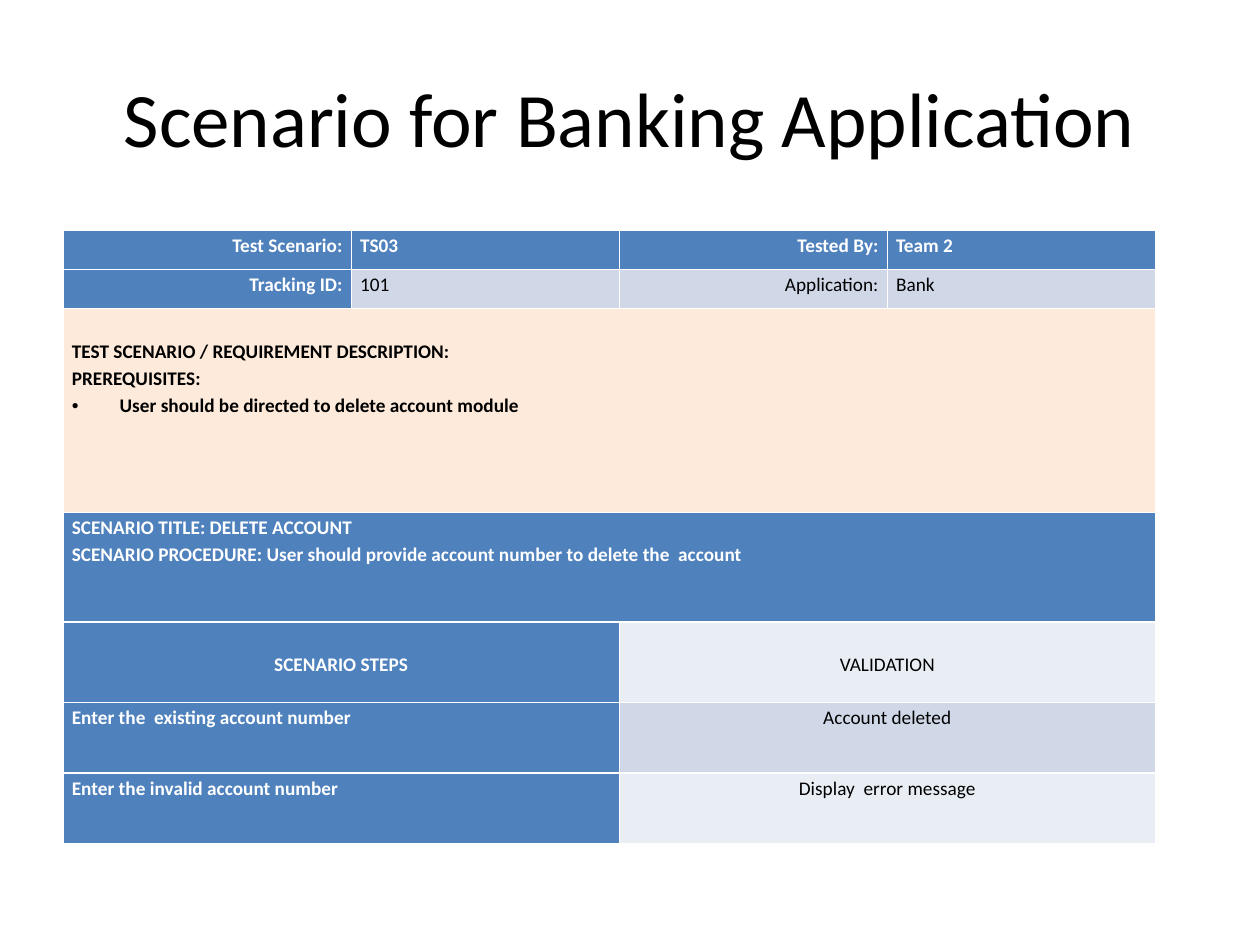
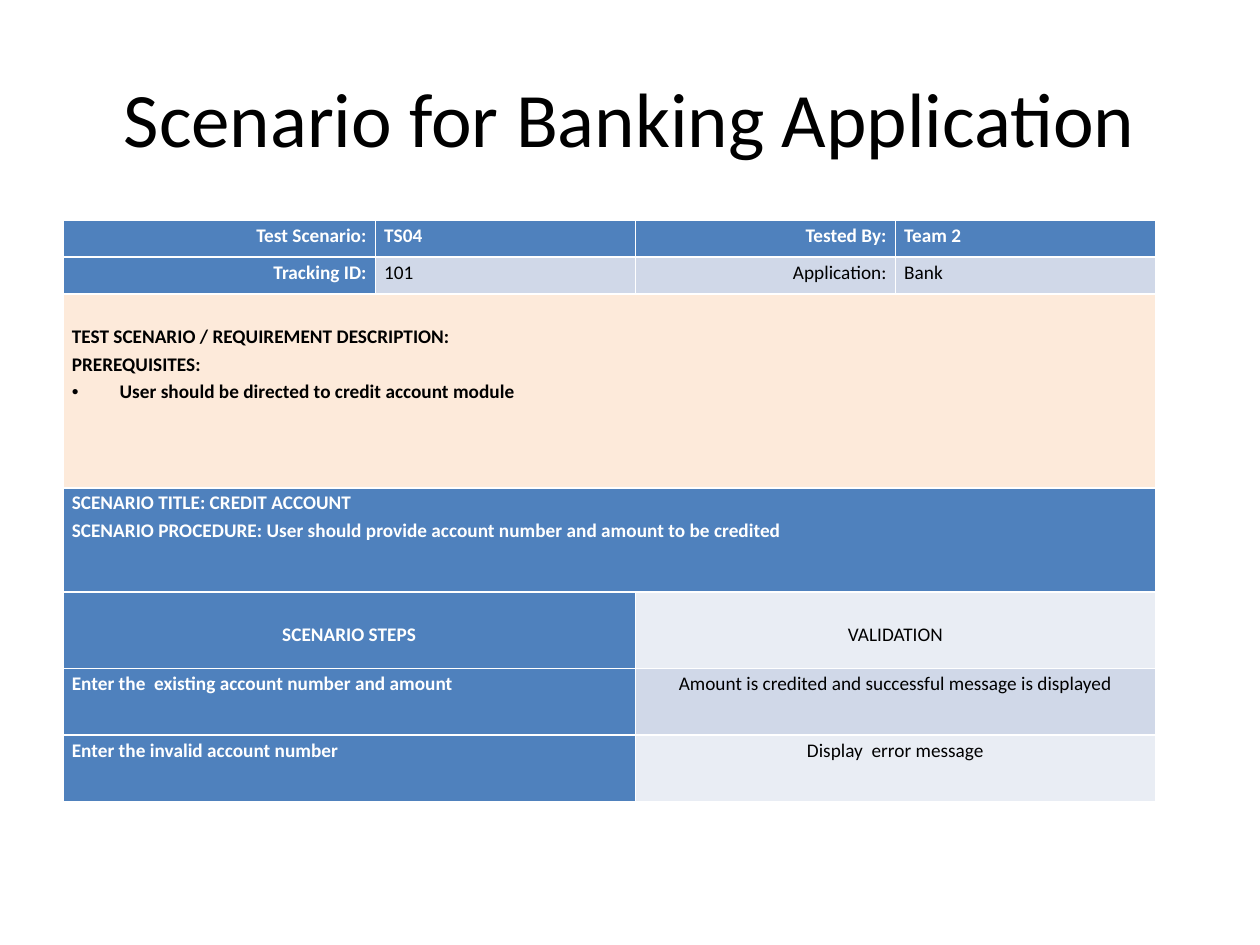
from dataclasses import dataclass
from lxml import etree
from pptx import Presentation
from pptx.dml.color import RGBColor
from pptx.enum.text import MSO_ANCHOR, PP_ALIGN
from pptx.oxml.ns import qn
from pptx.util import Inches, Pt

LEFT, MID, RIGHT = PP_ALIGN.LEFT, PP_ALIGN.CENTER, PP_ALIGN.RIGHT
MIDDLE = MSO_ANCHOR.MIDDLE
TITLE_ONLY = 5
WIDE, HIGH = Inches(10), Inches(7.5)


@dataclass(frozen=True)
class Theme:
    font: str = "Calibri"
    title: int = 44
    text: int = 11
    lines: float = 1.15
    ink: str = "000000"
    white: str = "FFFFFF"
    blue: str = "4F81BD"
    band: str = "D0D8E8"
    pale: str = "E9EDF4"
    peach: str = "FDEADA"


THEME = Theme()
ROWS = (0.31, 0.31, 1.62, 0.87, 0.64, 0.56, 0.56)
SIDE, GAP, HANG = Inches(0.07), Inches(0.22), Inches(0.38)


def style(par, size, color, bold=False, align=LEFT):
    par.alignment = align
    for run in par.runs:
        font = run.font
        font.name, font.size, font.bold = THEME.font, Pt(size), bold
        font.color.rgb = RGBColor.from_string(color)


def fill_cell(cell, text, fill, color=THEME.white, align=LEFT, top=0):
    """Write the lines of a cell; every cell not on a light band is bold."""
    cell.margin_left = cell.margin_right = SIDE
    cell.margin_top, cell.margin_bottom = top, 0
    cell.fill.solid()
    cell.fill.fore_color.rgb = RGBColor.from_string(fill)
    cell.text_frame.text = text
    bold = fill not in (THEME.band, THEME.pale)
    for par in cell.text_frame.paragraphs:
        par.line_spacing = THEME.lines
        style(par, THEME.text, color, bold, align)


def add_bullet(par):
    props = par._p.get_or_add_pPr()
    props.set("marL", str(HANG))
    props.set("indent", str(-HANG))
    etree.SubElement(props, qn("a:buFont")).set("typeface", "Arial")
    etree.SubElement(props, qn("a:buChar")).set("char", "•")


def set_title(slide, text):
    title = slide.shapes.title
    title.left, title.top = int(WIDE * 0.05), int(HIGH * 0.04)
    title.width, title.height = int(WIDE * 0.9), int(HIGH / 6)
    frame = title.text_frame
    frame.text, frame.vertical_anchor = text, MIDDLE
    style(frame.paragraphs[0], THEME.title, THEME.ink, align=MID)


def make_grid(slide, box, first):
    """Add a table of four columns; first is the share of the first one."""
    left, top, width, height = box
    width, height = int(WIDE * width), int(HIGH * height)
    table = slide.shapes.add_table(len(ROWS), 4, int(WIDE * left),
                                   int(HIGH * top), width, height).table
    table.first_col = True
    shares = [first] + [(1 - first) / 3] * 3
    for col, share in zip(table.columns, shares):
        col.width = int(width * share)
    for row, part in zip(table.rows, ROWS):
        row.height = int(height * part / sum(ROWS))
    return table


def fill_facts(table, code):
    facts = (("Test Scenario:", code, "Tested By:", "Team 2"),
             ("Tracking ID:", "101", "Application:", "Bank"))
    for r, row in enumerate(facts):
        for c, text in enumerate(row):
            head = r == 0 or c == 0
            fill_cell(table.cell(r, c), text,
                      THEME.blue if head else THEME.band,
                      THEME.white if head else THEME.ink,
                      LEFT if c % 2 else RIGHT)


def fill_about(table, need, name, task):
    for r in (2, 3):
        table.cell(r, 0).merge(table.cell(r, 3))
    needs = table.cell(2, 0)
    fill_cell(needs, "TEST SCENARIO / REQUIREMENT DESCRIPTION:\n"
              f"PREREQUISITES:\n{need}", THEME.peach, THEME.ink, top=GAP)
    add_bullet(needs.text_frame.paragraphs[-1])
    fill_cell(table.cell(3, 0), f"SCENARIO TITLE: {name}\n"
              f"SCENARIO PROCEDURE: {task}", THEME.blue)


def fill_steps(table, steps):
    pairs = [("SCENARIO STEPS", "VALIDATION"), *steps]
    for i, (step, check) in enumerate(pairs):
        r, top = i + 4, 0 if i else GAP
        for c in (0, 2):
            table.cell(r, c).merge(table.cell(r, c + 1))
        fill_cell(table.cell(r, 0), step, THEME.blue,
                  align=LEFT if i else MID, top=top)
        fill_cell(table.cell(r, 2), check,
                  THEME.band if i % 2 else THEME.pale, THEME.ink, MID, top)


def add_case(deck, box, first, code, need, name, task, steps):
    slide = deck.slides.add_slide(deck.slide_layouts[TITLE_ONLY])
    set_title(slide, "Scenario for Banking Application")
    table = make_grid(slide, box, first)
    fill_facts(table, code)
    fill_about(table, need, name, task)
    fill_steps(table, steps)


def main():
    deck = Presentation()
    deck.slide_width, deck.slide_height = WIDE, HIGH
    wrong = ("Enter the invalid account number", "Display  error message")
    add_case(deck, (0.05, 0.244, 0.867, 0.649), 0.264, "TS03",
             "User should be directed to delete account module",
             "DELETE ACCOUNT",
             "User should provide account number to delete the  account",
             [("Enter the  existing account number", "Account deleted"),
              wrong])
    add_case(deck, (0.05, 0.233, 0.867, 0.616), 0.286, "TS04",
             "User should be directed to credit account module",
             "CREDIT ACCOUNT",
             "User should provide account number and amount to be credited",
             [("Enter the  existing account number and amount",
               "Amount is credited and successful message is displayed"),
              wrong])
    deck.save("out.pptx")


if __name__ == "__main__":
    main()
